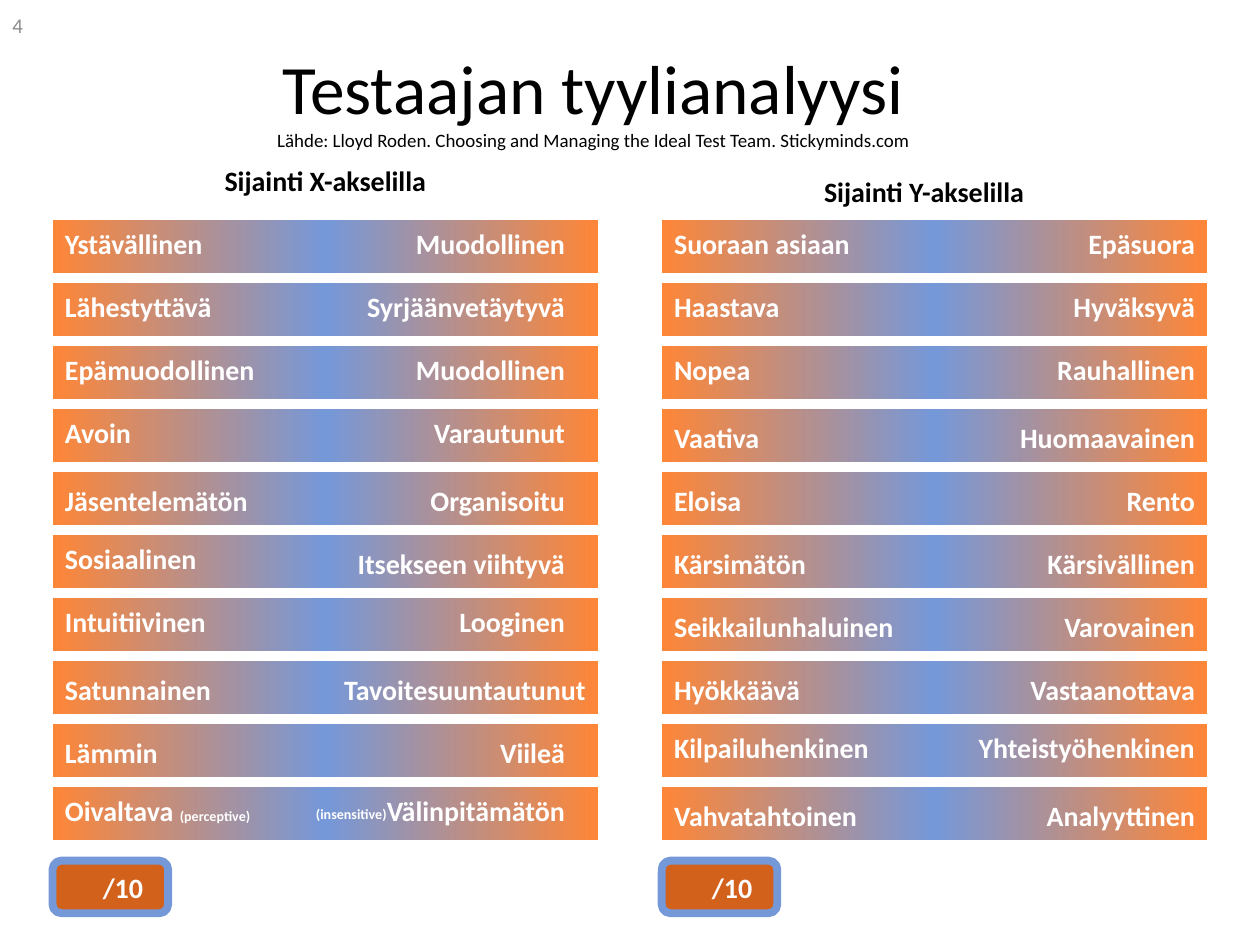
from copy import deepcopy

from pptx import Presentation
from pptx.dml.color import RGBColor
from pptx.enum.shapes import MSO_SHAPE as Shape
from pptx.enum.text import MSO_ANCHOR as Anchor, MSO_AUTO_SIZE as AutoSize, PP_ALIGN as Align
from pptx.oxml.ns import qn
from pptx.util import Cm, Pt

COLORS = {"orange": "FE8637", "blue": "7598D9", "rust": "D2611C",
          "white": "FFFFFF", "black": "000000", "gray": "8C8C8C"}
FONT = "Calibri"

BAR_WIDTH, BAR_HEIGHT, ROW_PITCH = 11, 1.06, 1.27
LABEL_WIDTH, LABEL_HEIGHT = 5.29, 0.94
LOWERED = 0.11  # extra drop of the labels that sit low in their bar

# Each row: left label, right label, and which of them sit low ("L", "R")
X_ROWS = [
    ("Ystävällinen", "Muodollinen", ""),
    ("Lähestyttävä", "Syrjäänvetäytyvä", ""),
    ("Epämuodollinen", "Muodollinen", ""),
    ("Avoin", "Varautunut", ""),
    ("Jäsentelemätön", "Organisoitu", "LR"),
    ("Sosiaalinen", "Itsekseen viihtyvä", "R"),
    ("Intuitiivinen", "Looginen", ""),
    ("Satunnainen", "Tavoitesuuntautunut", "LR"),
    ("Lämmin", "Viileä", "LR"),
    ("Oivaltava ", "Välinpitämätön", ""),
]
Y_ROWS = [
    ("Suoraan asiaan", "Epäsuora", ""),
    ("Haastava", "Hyväksyvä", ""),
    ("Nopea", "Rauhallinen", ""),
    ("Vaativa", "Huomaavainen", "LR"),
    ("Eloisa", "Rento", "LR"),
    ("Kärsimätön", "Kärsivällinen", "LR"),
    ("Seikkailunhaluinen", "Varovainen", "LR"),
    ("Hyökkäävä", "Vastaanottava", "LR"),
    ("Kilpailuhenkinen", "Yhteistyöhenkinen", ""),
    ("Vahvatahtoinen", "Analyyttinen", "LR"),
]
FULL_WIDTH_LABEL = "Tavoitesuuntautunut"  # too long for the usual right margin


def rgb(name):
    return RGBColor.from_string(COLORS[name])


def style(paragraph, size, color, bold, align):
    paragraph.alignment = align
    font = paragraph.font
    font.name, font.size, font.bold = FONT, Pt(size), bold
    font.color.rgb = rgb(color)


def add_text(slide, box, text, size=16, color="white", bold=True, align=Align.LEFT):
    """Add a one-paragraph text box at box (cm) and return its text frame."""
    frame = slide.shapes.add_textbox(*map(Cm, box)).text_frame
    frame.word_wrap = True
    paragraph = frame.paragraphs[0]
    paragraph.add_run().text = text
    style(paragraph, size, color, bold, align)
    return frame


def add_title(slide, left, top, width, height):
    frame = add_text(slide, (left, top, width, height), "Testaajan tyylianalyysi",
                     39.6, "black", False, Align.CENTER)
    frame.vertical_anchor = Anchor.MIDDLE
    paragraph = frame.paragraphs[0]
    paragraph.add_line_break()
    source = paragraph.add_run()
    source.text = ("Lähde: Lloyd Roden. Choosing and Managing the Ideal Test Team. "
                   "Stickyminds.com")
    source.font.size = Pt(10.8)


def add_bar(slide, left, top):
    bar = slide.shapes.add_shape(Shape.RECTANGLE, Cm(left), Cm(top),
                                 Cm(BAR_WIDTH), Cm(BAR_HEIGHT))
    bar.shadow.inherit = False
    bar.line.fill.background()
    bar.fill.gradient()
    bar.fill.gradient_angle = 0
    stops = bar._element.spPr.find(qn("a:gradFill")).find(qn("a:gsLst"))
    stops.append(deepcopy(stops[-1]))
    for stop, position, color in zip(bar.fill.gradient_stops, (0, 0.5, 1),
                                     ("orange", "blue", "orange")):
        stop.position = position
        stop.color.rgb = rgb(color)


def add_score(slide, left, top):
    score = slide.shapes.add_shape(Shape.ROUNDED_RECTANGLE, Cm(left), Cm(top),
                                   Cm(2.33), Cm(BAR_HEIGHT))
    score.shadow.inherit = False
    score.fill.solid()
    score.fill.fore_color.rgb = rgb("rust")
    score.line.color.rgb = rgb("blue")
    score.line.width = Pt(4.5)
    frame = score.text_frame
    frame.margin_left = Cm(0.76)  # leaves room for a handwritten score
    frame.vertical_anchor = Anchor.MIDDLE
    frame.text = "/10"
    style(frame.paragraphs[0], 16, "white", True, Align.CENTER)


def add_axis(slide, left, top, rows, right_margin):
    """Draw one column of opposite traits with its score box below."""
    for index, (low_end, high_end, lowered) in enumerate(rows):
        row_top = top + index * ROW_PITCH
        add_bar(slide, left, row_top)

        margin = 0 if high_end == FULL_WIDTH_LABEL else right_margin
        right_left = left + BAR_WIDTH - margin - LABEL_WIDTH
        right_width = LABEL_WIDTH
        if high_end == FULL_WIDTH_LABEL:
            right_left, right_width = right_left - 0.45, LABEL_WIDTH + 0.45
        sides = [("L", low_end, left, LABEL_WIDTH, Align.LEFT),
                 ("R", high_end, right_left, right_width, Align.RIGHT)]
        for side, text, label_left, width, align in sides:
            label_top = row_top + (LOWERED if side in lowered else 0)
            frame = add_text(slide, (label_left, label_top, width, LABEL_HEIGHT),
                             text, align=align)
            frame.auto_size = AutoSize.SHAPE_TO_FIT_TEXT
            if text == "Oivaltava ":
                gloss = frame.paragraphs[0].add_run()
                gloss.text = "(perceptive)"
                gloss.font.size = Pt(8)
    add_score(slide, left, top + len(rows) * ROW_PITCH + 0.21)


def add_heading(slide, left, top, text):
    frame = add_text(slide, (left, top, 8.46, LABEL_HEIGHT), text,
                     color="black", align=Align.CENTER)
    frame.auto_size = AutoSize.SHAPE_TO_FIT_TEXT


def main():
    presentation = Presentation()
    presentation.slide_width, presentation.slide_height = Cm(25.4), Cm(19.05)
    slide = presentation.slides.add_slide(presentation.slide_layouts[6])

    add_title(slide, 1.7, 1.22, 20.52, 1.52)
    x_left, y_left, top = 1.06, 13.34, 4.44
    add_heading(slide, x_left + 1.27, 3.18, "Sijainti X-akselilla")
    add_heading(slide, y_left + 1.06, 3.39, "Sijainti Y-akselilla")
    add_axis(slide, x_left, top, X_ROWS, right_margin=0.42)
    add_axis(slide, y_left, top, Y_ROWS, right_margin=0)

    gloss_top = top + (len(X_ROWS) - 1) * ROW_PITCH + 0.25
    gloss = add_text(slide, (x_left + 5.03, gloss_top, 1.96, 0.6),
                     "(insensitive)", 8, align=Align.RIGHT)
    gloss.word_wrap = False

    number = add_text(slide, (0, 0, 5.93, 1.02), "4", 12, "gray", False)
    number.vertical_anchor = Anchor.MIDDLE
    presentation.save("out.pptx")


if __name__ == "__main__":
    main()
